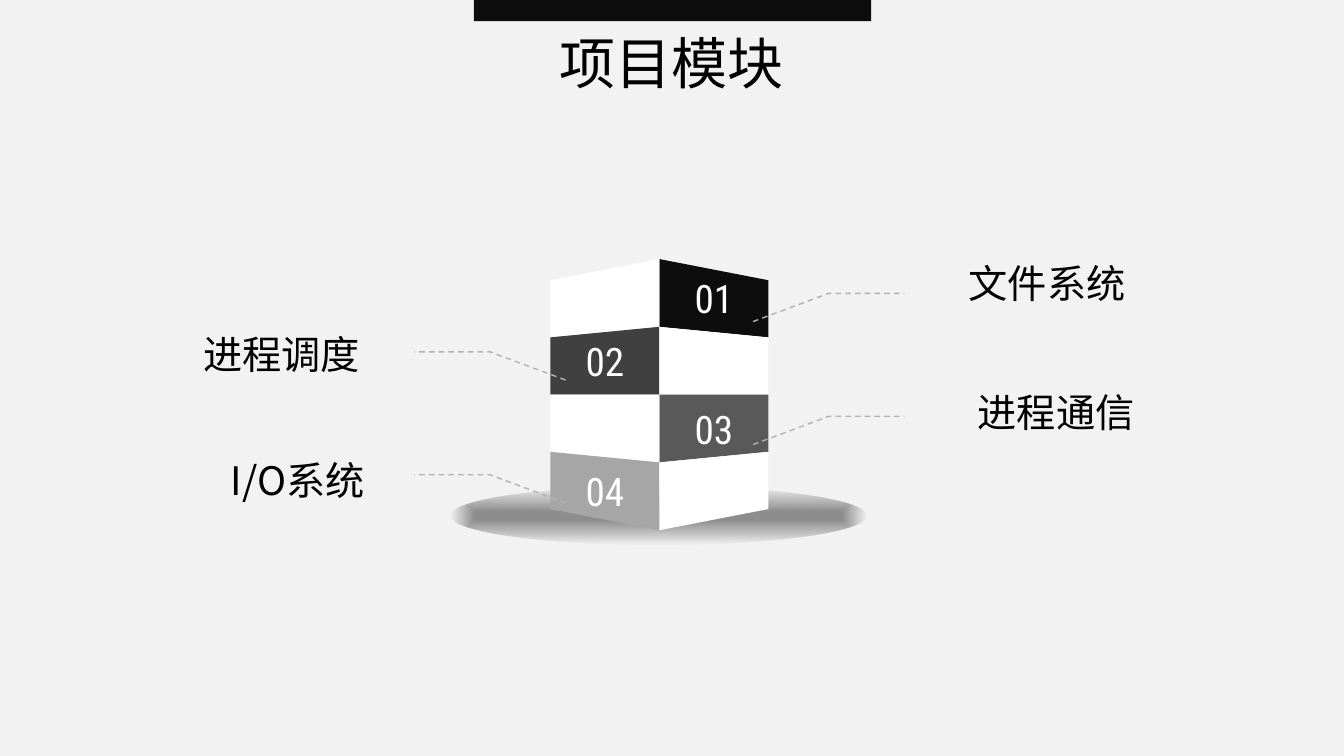
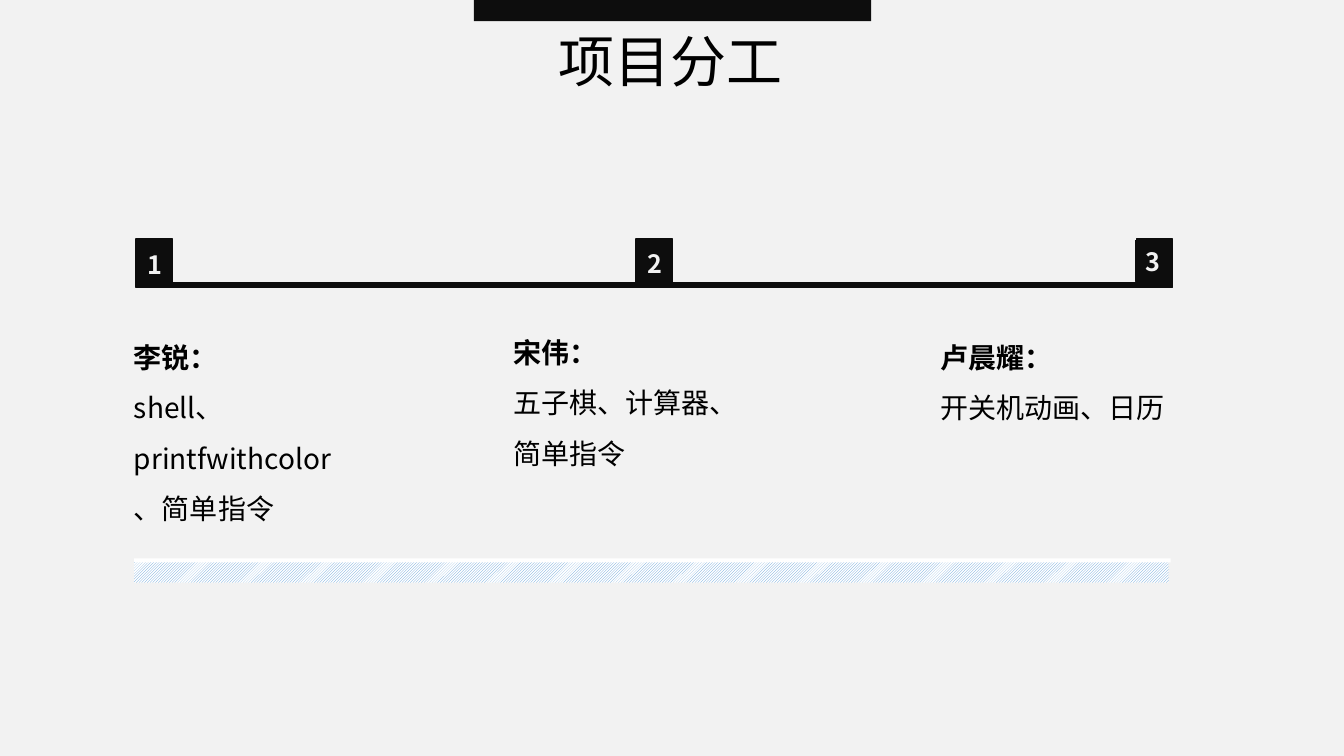
import lxml.etree
import pptx
import pptx.dml.color
import pptx.enum.dml
import pptx.enum.shapes
import pptx.enum.text
import pptx.oxml
import pptx.oxml.ns
import pptx.util

Inches = pptx.util.Inches
Pt = pptx.util.Pt
RGB = pptx.dml.color.RGBColor
SHAPES = pptx.enum.shapes.MSO_SHAPE
ALIGN = pptx.enum.text.PP_ALIGN
ANCHOR = pptx.enum.text.MSO_ANCHOR
AUTO_SIZE = pptx.enum.text.MSO_AUTO_SIZE

PAPER = RGB(0xF2, 0xF2, 0xF2)
INK = RGB(0x0D, 0x0D, 0x0D)
BLACK = RGB(0, 0, 0)
WHITE = RGB(0xFF, 0xFF, 0xFF)
DARK = RGB(0x40, 0x40, 0x40)
MID = RGB(0x59, 0x59, 0x59)
LIGHT = RGB(0xA6, 0xA6, 0xA6)
LEADER = RGB(0xB2, 0xB2, 0xB2)
STRIPE = RGB(0x5B, 0x9B, 0xD5)
CHINESE = "Noto Sans CJK SC"
NUMERAL = "Roboto Condensed"

# Title, left, top
MODULES_TITLE = ("项目模块", 5.45, 0.23)
DUTIES_TITLE = ("项目分工", 5.44, 0.21)

# Number, side of the tower (1 right, -1 left), colour, name, name left and top, leader top
MODULES = [
    ("01", 1, INK, "文件系统", 9.51, 2.52, 2.91),
    ("02", -1, DARK, "进程调度", 1.92, 3.23, 3.49),
    ("03", 1, MID, "进程通信", 9.6, 3.8, 4.13),
    ("04", -1, LIGHT, "I/O系统", 2.19, 4.48, 4.71),
]
TOWER_X, TOWER_HALF = 6.54, 1.08
RIDGE_TOP, RIDGE_STEP = 2.57, 0.6725
EDGE_TOP, EDGE_STEP = 2.78, 0.5675
LEADER_X, LEADER_REACH, LEADER_STEP, LEADER_DROP = 6.54, 0.93, 0.75, 0.28

# Number, badge left and top, person, work, text left, top, width and height
DUTIES = [
    ("1", 1.36, 2.42, "李锐：", "shell、printfwithcolor、简单指令", 1.23, 3.16, 2.36, 2.12),
    ("2", 6.32, 2.41, "宋伟：", "五子棋、计算器、简单指令", 4.99, 3.11, 2.66, 1.62),
    ("3", 11.26, 2.39, "卢晨耀：", "开关机动画、日历", 9.23, 3.16, 2.66, 1.11),
]
TIMELINE_X, TIMELINE_GAP = 1.35, 4.96

GLOW = (
    '<a:gradFill %s rotWithShape="1"><a:gsLst>'
    '<a:gs pos="15000"><a:srgbClr val="333333"><a:alpha val="52000"/></a:srgbClr></a:gs>'
    '<a:gs pos="100000"><a:srgbClr val="333333"><a:alpha val="0"/></a:srgbClr></a:gs>'
    '</a:gsLst><a:path path="shape">'
    '<a:fillToRect l="50000" t="50000" r="50000" b="50000"/></a:path></a:gradFill>'
    % pptx.oxml.ns.nsdecls("a")
)


def style(paragraph, size, color, font=CHINESE, bold=False):
    """Set the font of a paragraph for Latin and Chinese text."""
    paragraph.font.size = Pt(size)
    paragraph.font.bold = bold
    paragraph.font.color.rgb = color
    paragraph.font.name = font
    qn = pptx.oxml.ns.qn
    defaults = paragraph._p.pPr.find(qn("a:defRPr"))
    lxml.etree.SubElement(defaults, qn("a:ea")).set("typeface", font)


def add_text(slide, box, lines, size, wrap=True, spacing=None):
    """Add a text box; lines holds (text, bold) pairs."""
    frame = slide.shapes.add_textbox(*map(Inches, box)).text_frame
    frame.word_wrap = wrap
    frame.auto_size = AUTO_SIZE.SHAPE_TO_FIT_TEXT
    for index, (text, bold) in enumerate(lines):
        paragraph = frame.add_paragraph() if index else frame.paragraphs[0]
        paragraph.text = text
        paragraph.line_spacing = spacing
        style(paragraph, size, BLACK, bold=bold)


def add_block(slide, box, color=INK, line_width=None, kind=SHAPES.RECTANGLE):
    """Add a flat preset shape, outlined in its own colour if a width is given."""
    block = slide.shapes.add_shape(kind, *map(Inches, box))
    block.shadow.inherit = False
    block.fill.solid()
    block.fill.fore_color.rgb = color
    if line_width:
        block.line.color.rgb = color
        block.line.width = Pt(line_width)
    else:
        block.line.fill.background()
    return block


def add_outline(slide, points, close):
    """Add a freeform through points given in inches."""
    corners = [(Inches(x), Inches(y)) for x, y in points]
    builder = slide.shapes.build_freeform(*corners[0])
    builder.add_line_segments(corners[1:], close=close)
    outline = builder.convert_to_shape()
    outline.shadow.inherit = False
    return outline


def add_slide(deck):
    """Add a blank slide with the shared background and top band."""
    slide = deck.slides.add_slide(deck.slide_layouts[6])
    slide.background.fill.solid()
    slide.background.fill.fore_color.rgb = PAPER
    add_block(slide, (4.7, 0, 3.94, 0.21))
    return slide


def add_title(slide, title):
    """Add the slide title."""
    text, left, top = title
    add_text(slide, (left, top, 2.45, 0.77), [(text, False)], 40, wrap=False)


def add_face(slide, row, side, color, number=""):
    """Add one face of the tower, with its number if it has one."""
    ridge = [RIDGE_TOP + RIDGE_STEP * level for level in (row, row + 1)]
    edge = [EDGE_TOP + EDGE_STEP * level for level in (row, row + 1)]
    outer = TOWER_X + side * TOWER_HALF
    face = add_outline(slide, [(TOWER_X, ridge[0]), (outer, edge[0]),
                               (outer, edge[1]), (TOWER_X, ridge[1])], True)
    face.fill.solid()
    face.fill.fore_color.rgb = color
    face.line.fill.background()
    if number:
        face.text_frame.vertical_anchor = ANCHOR.MIDDLE
        paragraph = face.text_frame.paragraphs[0]
        paragraph.text = number
        paragraph.alignment = ALIGN.CENTER
        style(paragraph, 28, WHITE, NUMERAL)


def add_leader(slide, side, top):
    """Add the dashed line from the tower towards a module name."""
    start, bend, end = (LEADER_X + side * (LEADER_REACH + LEADER_STEP * step)
                        for step in range(3))
    leader = add_outline(slide, [(start, top + LEADER_DROP), (bend, top), (end, top)], False)
    leader.fill.background()
    leader.line.color.rgb = LEADER
    leader.line.width = Pt(1)
    leader.line.dash_style = pptx.enum.dml.MSO_LINE.DASH


def build_modules(deck):
    """Build the slide with the tower of modules."""
    slide = add_slide(deck)
    glow = add_block(slide, (4.47, 4.83, 4.12, 0.57), kind=SHAPES.OVAL)
    solid = glow._element.spPr.find(pptx.oxml.ns.qn("a:solidFill"))
    solid.getparent().replace(solid, pptx.oxml.parse_xml(GLOW))
    for row, (number, side, color, *_) in enumerate(MODULES):
        add_face(slide, row, side, color, number)
        add_face(slide, row, -side, WHITE)
    for _, side, _, name, left, top, leader_top in MODULES:
        add_leader(slide, side, leader_top)
        add_text(slide, (left, top, 2.66, 0.57), [(name, False)], 28)
    add_title(slide, MODULES_TITLE)


def build_duties(deck):
    """Build the slide with the timeline of people and their work."""
    slide = add_slide(deck)
    stripes = add_block(slide, (1.33, 5.56, 10.26, 0.22))
    stripes.fill.patterned()
    stripes.fill.pattern = pptx.enum.dml.MSO_PATTERN.LIGHT_UPWARD_DIAGONAL
    stripes.fill.fore_color.rgb = STRIPE
    stripes.fill.back_color.rgb = WHITE
    add_block(slide, (1.33, 5.54, 10.28, 0.04), WHITE)
    add_block(slide, (TIMELINE_X, 2.81, 10.28, 0.04), line_width=1)
    for index, (number, badge_left, badge_top, person, work, *box) in enumerate(DUTIES):
        add_block(slide, (TIMELINE_X + index * TIMELINE_GAP, 2.37, 0.36, 0.45), line_width=1)
        badge = add_block(slide, (badge_left, badge_top, 0.35, 0.4), line_width=0.75)
        badge.text_frame.vertical_anchor = ANCHOR.TOP
        badge.text_frame.auto_size = AUTO_SIZE.SHAPE_TO_FIT_TEXT
        paragraph = badge.text_frame.paragraphs[0]
        paragraph.text = number
        paragraph.alignment = ALIGN.LEFT
        style(paragraph, 18, PAPER, bold=True)
        add_text(slide, box, [(person, True), (work, False)], 20, spacing=1.5)
    add_title(slide, DUTIES_TITLE)


deck = pptx.Presentation()
deck.slide_width, deck.slide_height = Inches(13.33), Inches(7.5)
build_modules(deck)
build_duties(deck)
deck.save("out.pptx")
